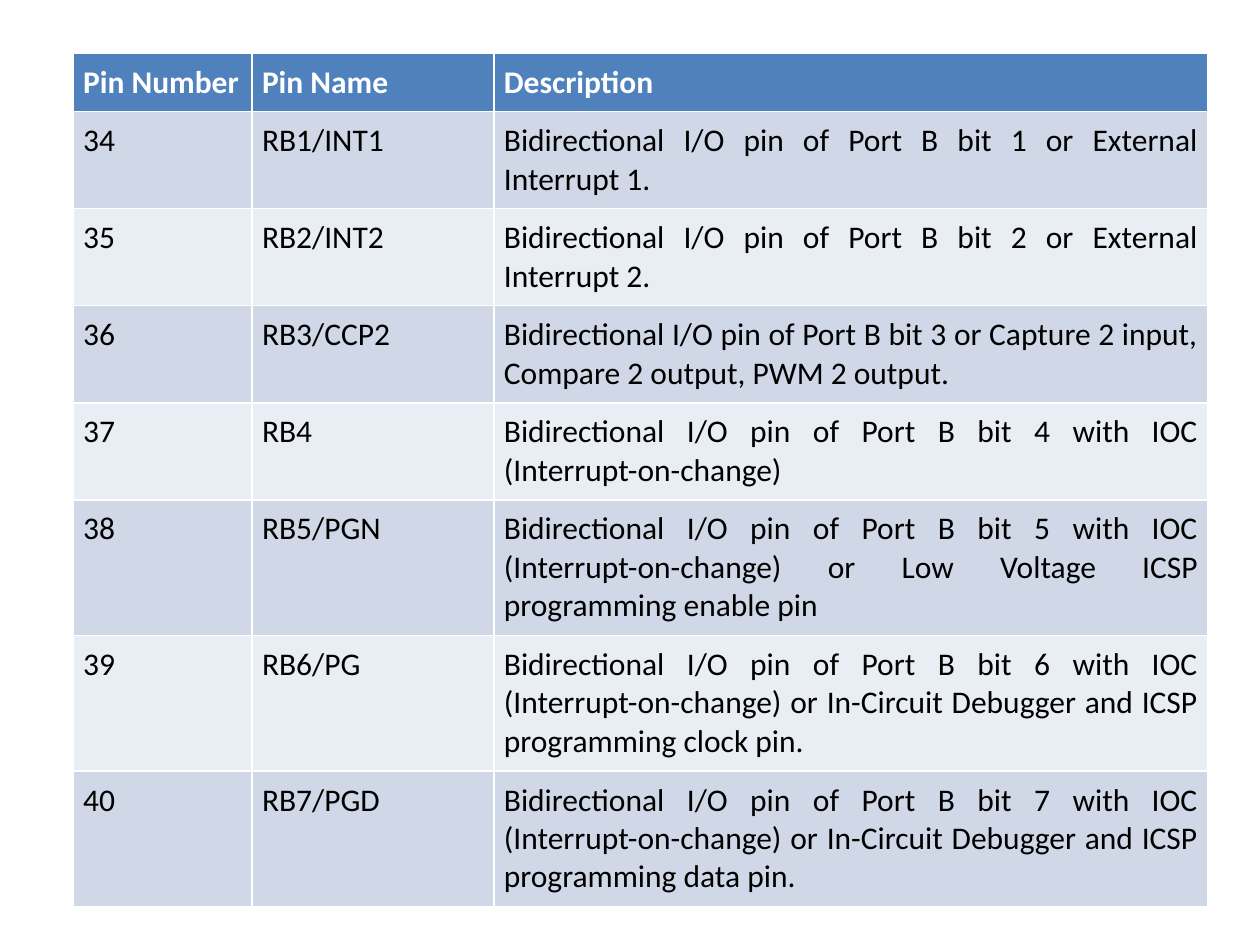
"""Build a slide with a table describing the Port B pins."""
from typing import NamedTuple

from pptx import Presentation
from pptx.dml.color import RGBColor
from pptx.enum.text import PP_ALIGN
from pptx.util import Inches, Pt

HEADER_FILL = "4F81BD"
BAND_FILLS = ("D0D8E8", "E9EDF4")
COLUMN_WIDTHS = (1.42, 1.92, 5.67)
ROW_HEIGHT = 0.41
TABLE_HEIGHT = 6.73
CELL_MARGIN = 0.08


class Pin(NamedTuple):
    number: str
    name: str
    role: str


HEADINGS = Pin("Pin Number", "Pin Name", "Description")
PINS = (
    Pin("34", "RB1/INT1", "Bidirectional I/O pin of Port B bit 1 or External Interrupt 1."),
    Pin("35", "RB2/INT2", "Bidirectional I/O pin of Port B bit 2 or External Interrupt 2."),
    Pin("36", "RB3/CCP2", "Bidirectional I/O pin of Port B bit 3 or Capture 2 input, "
        "Compare 2 output, PWM 2 output."),
    Pin("37", "RB4", "Bidirectional I/O pin of Port B bit 4 with IOC (Interrupt-on-change)"),
    Pin("38", "RB5/PGN", "Bidirectional I/O pin of Port B bit 5 with IOC "
        "(Interrupt-on-change) or Low Voltage ICSP programming enable pin"),
    Pin("39", "RB6/PG", "Bidirectional I/O pin of Port B bit 6 with IOC "
        "(Interrupt-on-change) or In-Circuit Debugger and ICSP programming clock pin."),
    Pin("40", "RB7/PGD", "Bidirectional I/O pin of Port B bit 7 with IOC "
        "(Interrupt-on-change) or In-Circuit Debugger and ICSP programming data pin."),
)


def color(value: str) -> RGBColor:
    """Turn a hex string into a colour."""
    return RGBColor.from_string(value)


def fill_cell(cell, text: str, fill: str, ink: str, bold: bool) -> None:
    """Write and format one table cell."""
    cell.fill.solid()
    cell.fill.fore_color.rgb = color(fill)
    cell.margin_left = cell.margin_right = Inches(CELL_MARGIN)
    cell.margin_top = cell.margin_bottom = Inches(CELL_MARGIN)
    paragraph = cell.text_frame.paragraphs[0]
    paragraph.text = text
    paragraph.alignment = PP_ALIGN.JUSTIFY
    for span in paragraph.runs:
        span.font.name = "Calibri"
        span.font.size = Pt(18)
        span.font.bold = bold
        span.font.color.rgb = color(ink)


def fill_row(table, index: int, pin: Pin) -> None:
    """Fill one row, with the heading style on the first."""
    heading = index == 0
    fill = HEADER_FILL if heading else BAND_FILLS[(index - 1) % 2]
    ink = "FFFFFF" if heading else "000000"
    for column, text in enumerate(pin):
        fill_cell(table.cell(index, column), text, fill, ink, heading)


def add_pin_table(page, rows: tuple[Pin, ...]) -> None:
    """Add the pin table to the page."""
    frame = page.shapes.add_table(
        len(rows), len(COLUMN_WIDTHS), Inches(0.58), Inches(0.42),
        Inches(sum(COLUMN_WIDTHS)), Inches(ROW_HEIGHT * len(rows)))
    for column, width in zip(frame.table.columns, COLUMN_WIDTHS):
        column.width = Inches(width)
    for index, pin in enumerate(rows):
        fill_row(frame.table, index, pin)
    frame.height = Inches(TABLE_HEIGHT)


def main() -> None:
    """Build and save the deck."""
    deck = Presentation()
    deck.slide_width, deck.slide_height = Inches(10), Inches(7.5)
    page = deck.slides.add_slide(deck.slide_layouts[6])
    add_pin_table(page, (HEADINGS, *PINS))
    deck.save("out.pptx")


if __name__ == "__main__":
    main()
